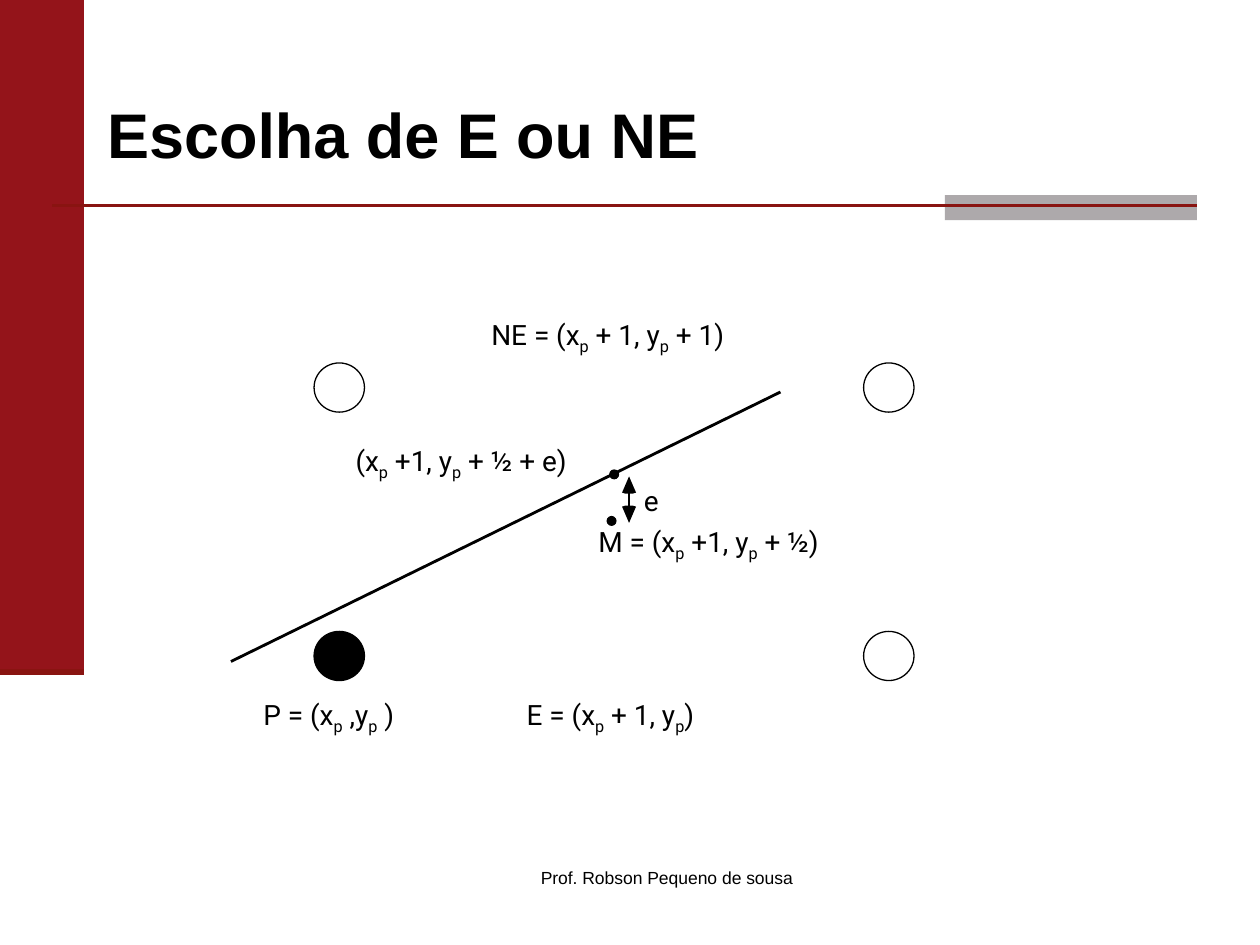
from lxml.etree import SubElement
from pptx import Presentation
from pptx.dml.color import RGBColor
from pptx.enum.shapes import MSO_CONNECTOR, MSO_SHAPE
from pptx.enum.text import MSO_ANCHOR, MSO_AUTO_SIZE, PP_ALIGN
from pptx.oxml.ns import qn
from pptx.util import Pt

BLACK, WHITE, RED, DARK, GRAY = "000000", "FFFFFF", "94141A", "891411", "ADA9AB"


def color(code):
    return RGBColor.from_string(code)


def paint(shape, fill, line=None):
    shape.shadow.inherit = False
    shape.fill.solid()
    shape.fill.fore_color.rgb = color(fill)
    if line:
        shape.line.color.rgb = color(line)
        shape.line.width = Pt(0.75)
    else:
        shape.line.fill.background()


def add_form(slide, kind, x, y, w, h, fill, line=None):
    shape = slide.shapes.add_shape(kind, Pt(x), Pt(y), Pt(w), Pt(h))
    paint(shape, fill, line)


def add_line(slide, x1, y1, x2, y2, code, width):
    line = slide.shapes.add_connector(
        MSO_CONNECTOR.STRAIGHT, Pt(x1), Pt(y1), Pt(x2), Pt(y2))
    line.line.color.rgb = color(code)
    line.line.width = Pt(width)
    SubElement(line._element.spPr, qn("a:effectLst"))


def add_run(para, text, font, size, bold=False, sub=False):
    run = para.add_run()
    run.text = text
    run.font.name = font
    run.font.size = Pt(size)
    run.font.bold = bold
    run.font.color.rgb = color(BLACK)
    if sub:
        run._r.get_or_add_rPr().set("baseline", "-25000")


def add_box(slide, x, y, w, h):
    frame = slide.shapes.add_textbox(Pt(x), Pt(y), Pt(w), Pt(h)).text_frame
    frame.word_wrap = True
    return frame


def add_label(slide, x, y, w, parts, plate):
    # White plate behind the label
    if plate:
        add_form(slide, MSO_SHAPE.RECTANGLE, x - 4.3, y - 1.4, plate, 18.7, WHITE)
    frame = add_box(slide, x, y, w, 19.5)
    frame.margin_left = frame.margin_right = 0
    frame.margin_top = frame.margin_bottom = 0
    # Every second part is a subscript
    for i, part in enumerate(parts):
        add_run(frame.paragraphs[0], part, "Roboto", 16, sub=i % 2 == 1)


def add_head(slide, x, tip, way):
    base = tip + way * 9.3
    build = slide.shapes.build_freeform(Pt(x), Pt(tip))
    build.add_line_segments([
        (Pt(x + dx), Pt(base + way * dy))
        for dx, dy in ((4, 0), (2, 0.6), (-2, 0.6), (-4, 0))])
    paint(build.convert_to_shape(), BLACK)


def add_frame(slide, x, y, w, h):
    # Side bar, gray tab and rules
    bar, rule = 48, y + 117.5
    end = x + w - 36
    add_form(slide, MSO_SHAPE.RECTANGLE, x, y, bar, 384, RED)
    add_form(slide, MSO_SHAPE.RECTANGLE, end - 144, rule - 6, 144, 14.4, GRAY)
    add_line(slide, x + 30, rule, end, rule, DARK, 1.5)
    add_line(slide, x, y + 384, x + bar, y + 384, DARK, 3.5)
    # Footer
    para = add_box(slide, x + 264, y + h - 48, 234, 36).paragraphs[0]
    para.alignment = PP_ALIGN.CENTER
    add_run(para, "Prof. Robson Pequeno de sousa", "Arial", 10)


def add_title(slide, x, y, w, h):
    title = slide.shapes.title
    title.left, title.top, title.width, title.height = Pt(x), Pt(y), Pt(w), Pt(h)
    frame = title.text_frame
    frame.auto_size = MSO_AUTO_SIZE.NONE
    frame.vertical_anchor = MSO_ANCHOR.MIDDLE
    para = frame.paragraphs[0]
    para.alignment = PP_ALIGN.JUSTIFY
    add_run(para, "Escolha de E ou NE", "Arial", 36, bold=True)


def add_graph(slide, x, y, w, h):
    # Labels: left, top, width, parts, plate width
    labels = [
        (71.2, 73.4, 130.5, ["(x", "p", " +1, y", "p", " + ½ + e)"], 147.6),
        (236, 96.5, 9, ["e"], 0),
        (210, 119.5, 135.5, ["M = (x", "p", " +1, y", "p", " + ½)"], 0),
        (18.5, 218.9, 81.5, ["P = (x", "p", " ,y", "p", " )"], 80),
        (169, 218.9, 105, ["E = (x", "p", " + 1, y", "p", ")"], 0),
        (148.8, 1.4, 144, ["NE = (x", "p", " + 1, y", "p", " + 1)"], 137.5),
    ]
    for left, top, width, parts, plate in labels:
        add_label(slide, x + left, y + top, width, parts, plate)
    # True line
    add_line(slide, x, y + 198, x + 314, y + 44, BLACK, 1.62)
    # Pixel grid, with the current pixel filled
    for row in range(2):
        for col in range(2):
            fill = BLACK if (row, col) == (1, 0) else WHITE
            add_form(slide, MSO_SHAPE.OVAL, x + 47.5 + col * 314,
                     y + 27.4 + row * 153.4, 28.8, 28.1, fill, BLACK)
    # Crossing point and midpoint
    for left, top in ((216.5, 88.6), (215, 115.2)):
        add_form(slide, MSO_SHAPE.OVAL, x + left, y + top, 5, 5, BLACK, BLACK)
    # Error arrow
    mid = x + 227.5
    add_line(slide, mid, y + 100, mid, y + 110, BLACK, 0.75)
    add_head(slide, mid, y + 92.2, 1)
    add_head(slide, mid, y + 118.8, -1)


def main():
    deck = Presentation()
    deck.slide_width, deck.slide_height = Pt(720), Pt(540)
    slide = deck.slides.add_slide(deck.slide_layouts[5])
    add_frame(slide, 0, 0, 720, 540)
    add_title(slide, 54, 42, 630, 68)
    add_graph(slide, 132, 180, 390, 238)
    deck.save("out.pptx")


if __name__ == "__main__":
    main()
